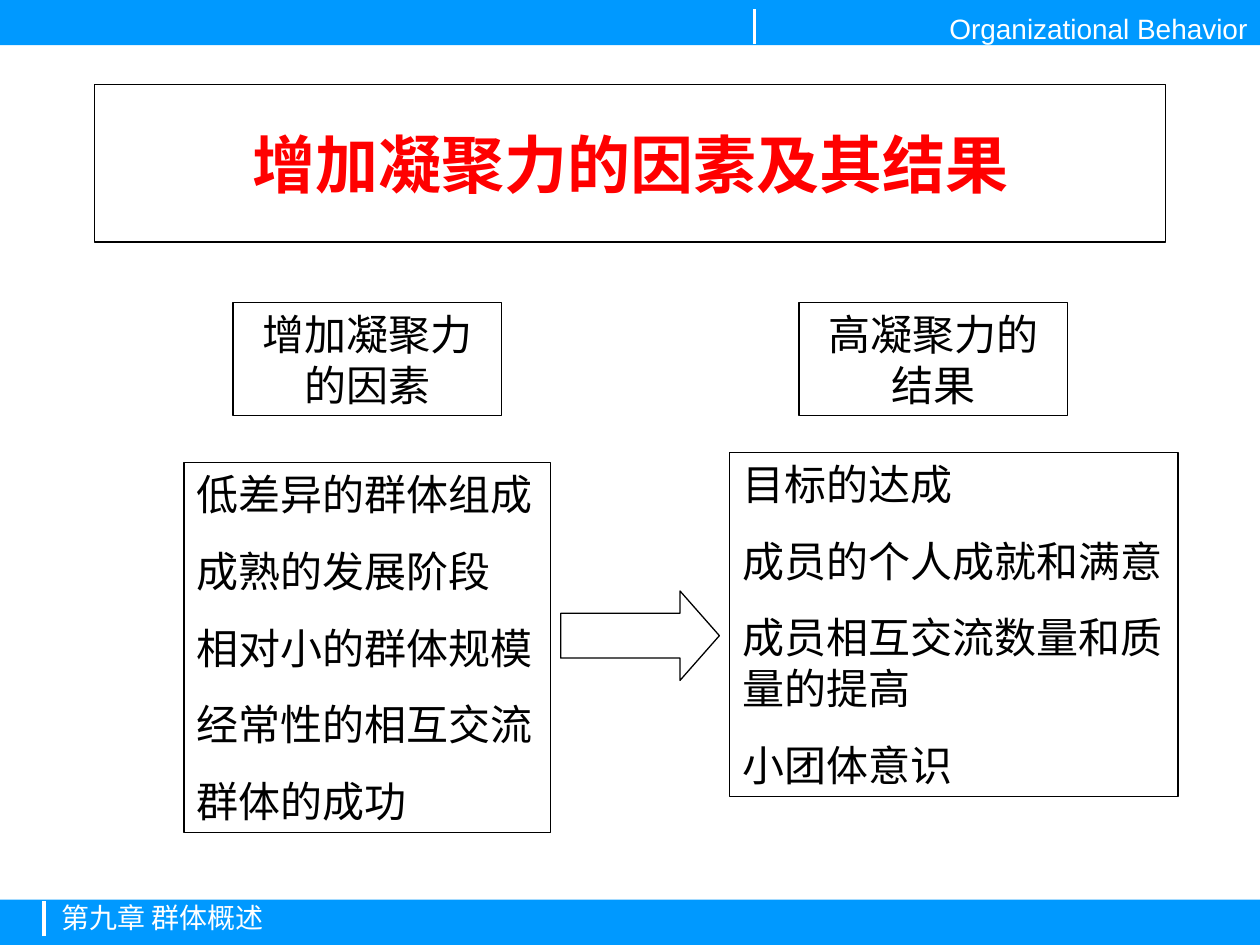
from lxml import etree
from pptx import Presentation
from pptx.dml.color import RGBColor
from pptx.enum.shapes import MSO_CONNECTOR, MSO_SHAPE
from pptx.enum.text import MSO_ANCHOR, MSO_AUTO_SIZE, PP_ALIGN
from pptx.oxml.ns import qn
from pptx.util import Inches, Pt

RECTANGLE, ARROW = MSO_SHAPE.RECTANGLE, MSO_SHAPE.RIGHT_ARROW
STRAIGHT = MSO_CONNECTOR.STRAIGHT
TOP, MIDDLE = MSO_ANCHOR.TOP, MSO_ANCHOR.MIDDLE
LEFT, CENTER, RIGHT = PP_ALIGN.LEFT, PP_ALIGN.CENTER, PP_ALIGN.RIGHT
NO_FIT = MSO_AUTO_SIZE.NONE
COMPARISON_LAYOUT = 4
COLUMNS, ROWS = 100, 75
COLORS = {"bar": "0099FF", "paper": "FFFFFF", "ink": "000000", "title": "FF0000"}


class CohesionSlide:
    """Hold the style and current slide, placing elements on a 100 by 75 grid."""

    def __init__(self, deck):
        self.deck = deck
        self.page = deck.slides.add_slide(deck.slide_layouts[COMPARISON_LAYOUT])

    def place(self, left, top, width, height):
        across, down = self.deck.slide_width / COLUMNS, self.deck.slide_height / ROWS
        return [round(value * unit) for value, unit in
                zip((left, top, width, height), (across, down, across, down))]

    def color(self, name):
        return RGBColor.from_string(COLORS[name])

    def outline(self, shape, color="ink", width=0.75):
        shape.line.color.rgb = self.color(color)
        shape.line.width = Pt(width)

    def fill_text(self, shape, lines, size=24, color="ink", bold=False,
                  align=LEFT, anchor=TOP, insets=(0.1, 0.05, 0.1, 0.05)):
        frame = shape.text_frame
        frame.text = "\n".join(lines)
        sides = ("margin_left", "margin_top", "margin_right", "margin_bottom")
        settings = dict(zip(sides, map(Inches, insets)))
        settings.update(word_wrap=True, auto_size=NO_FIT, vertical_anchor=anchor)
        for name, value in settings.items():
            setattr(frame, name, value)
        for index, para in enumerate(frame.paragraphs):
            properties = para._p.get_or_add_pPr()
            properties.set("marL", "0")
            properties.set("indent", "0")
            etree.SubElement(properties, qn("a:buNone"))
            para.alignment = align
            para.space_before = Pt(15 if index else 0)
            for span in para.runs:
                for name, value in {"name": "Arial", "size": Pt(size), "bold": bold}.items():
                    setattr(span.font, name, value)
                span.font.color.rgb = self.color(color)

    def box(self, index, place, lines, **style):
        shape = self.page.placeholders[index]
        shape.left, shape.top, shape.width, shape.height = self.place(*place)
        self.outline(shape)
        self.fill_text(shape, lines, **style)

    def shape(self, kind, place, fill):
        shape = self.page.shapes.add_shape(kind, *self.place(*place))
        shape.shadow.inherit = False
        shape.fill.solid()
        shape.fill.fore_color.rgb = self.color(fill)
        return shape

    def bar(self, top, text, align, insets, tick):
        shape = self.shape(RECTANGLE, (0, top, COLUMNS, 3.6), "bar")
        shape.line.fill.background()
        self.fill_text(shape, [text], size=16, color="paper", align=align,
                       anchor=MIDDLE, insets=insets)
        column, start, end = tick
        ends = self.place(column, end, column, start)
        mark = self.page.shapes.add_connector(STRAIGHT, *ends)
        self.outline(mark, "paper", 2)
        etree.SubElement(mark._element.spPr, qn("a:effectLst"))

    def arrow(self, place):
        shape = self.shape(ARROW, place, "paper")
        self.outline(shape)
        shape.adjustments[0], shape.adjustments[1] = 0.5, 0.44


def main():
    deck = Presentation()
    deck.slide_width, deck.slide_height = Inches(10), Inches(7.5)
    slide = CohesionSlide(deck)
    slide.bar(0, "Organizational Behavior", RIGHT, (0.1, 0.14, 0.1, 0.05), (59.9, 0.7, 3.5))
    slide.bar(71.4, "第九章 群体概述", LEFT, (0.49, 0.01, 0.1, 0.09), (3.5, 71.5, 74.3))
    slide.box(0, (7.5, 6.7, 85, 12.5), ["增加凝聚力的因素及其结果"],
              size=36, color="title", bold=True, align=CENTER, anchor=MIDDLE)
    headings = ((1, 18.5, "增加凝聚力的因素"), (3, 63.4, "高凝聚力的结果"))
    for index, left, text in headings:
        slide.box(index, (left, 24, 21.3, 9), [text], align=CENTER)
    slide.box(2, (14.6, 36.7, 29.1, 29.4), [
        "低差异的群体组成", "成熟的发展阶段", "相对小的群体规模",
        "经常性的相互交流", "群体的成功"])
    slide.box(4, (57.9, 35.9, 35.6, 27.3), [
        "目标的达成", "成员的个人成就和满意",
        "成员相互交流数量和质量的提高", "小团体意识"])
    slide.arrow((44.5, 46.9, 12.6, 7.1))
    deck.save("out.pptx")


if __name__ == "__main__":
    main()
